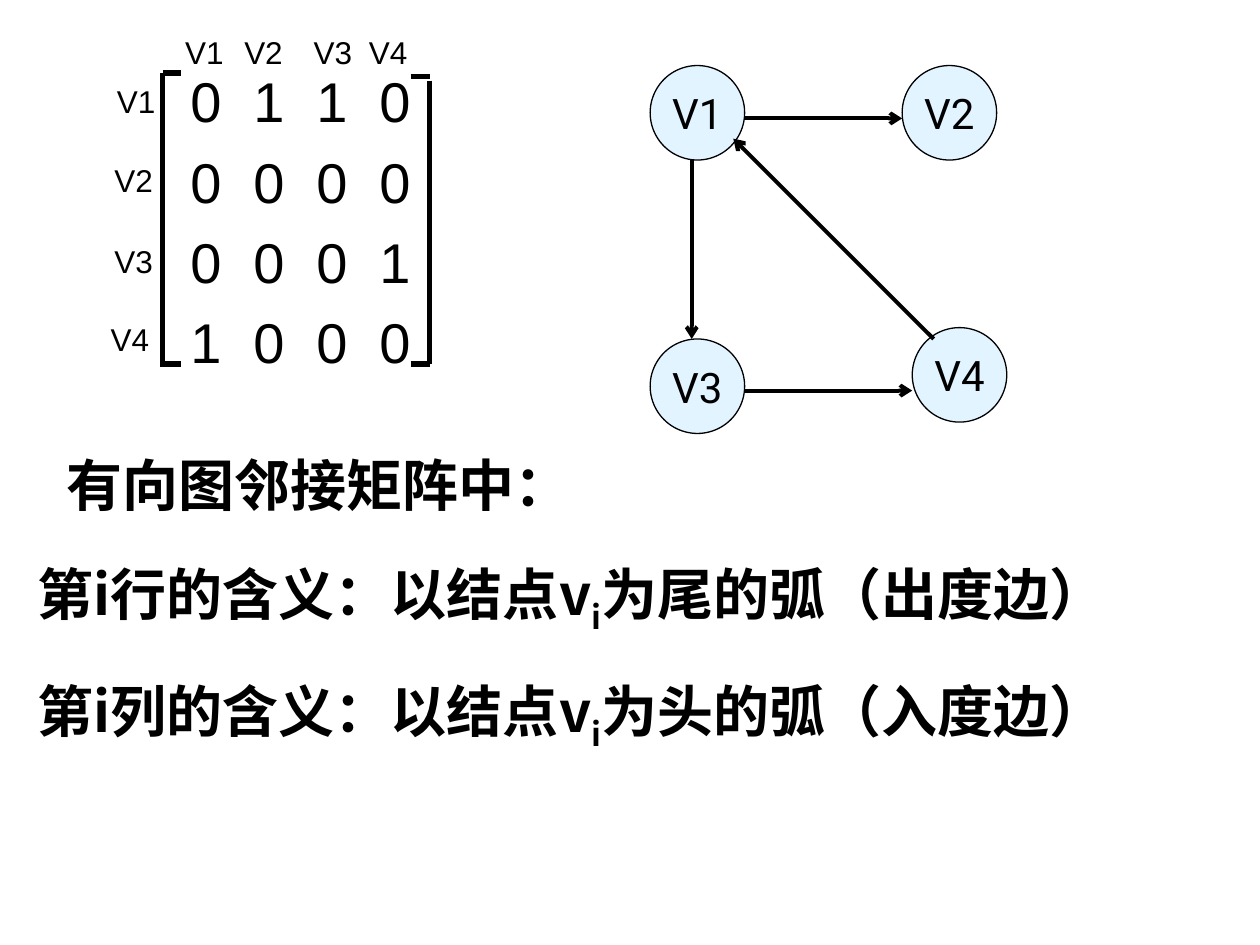
"""Builds a slide on the adjacency matrix of a directed graph."""
from dataclasses import dataclass

from lxml.etree import SubElement
from pptx import Presentation
from pptx.dml.color import RGBColor
from pptx.enum.shapes import MSO_CONNECTOR, MSO_SHAPE
from pptx.enum.text import MSO_ANCHOR, MSO_AUTO_SIZE, PP_ALIGN
from pptx.oxml.ns import qn
from pptx.util import Inches, Pt


@dataclass(frozen=True)
class Theme:
    ink: RGBColor = RGBColor(0x00, 0x00, 0x00)
    node_fill: RGBColor = RGBColor(0xE1, 0xF4, 0xFF)
    matrix_font: str = "Arial"
    node_font: str = "Roboto"
    caption_font: str = "Noto Sans CJK SC"
    large: Pt = Pt(32)
    medium: Pt = Pt(24)
    small: Pt = Pt(18)
    bracket_line: Pt = Pt(3)
    arc_line: Pt = Pt(2.25)
    node_line: Pt = Pt(0.75)


THEME = Theme()


def style(paragraph, face, size, bold=False):
    font = paragraph.font
    font.name, font.size, font.bold = face, size, bold
    font.color.rgb = THEME.ink
    SubElement(font._element, qn("a:ea"), typeface=face)


def draw_line(shapes, start, end, width):
    line = shapes.add_connector(
        MSO_CONNECTOR.STRAIGHT, *(Inches(v) for v in (*start, *end)))
    line.line.color.rgb = THEME.ink
    line.line.width = width
    SubElement(line._element.spPr, qn("a:effectLst"))
    return line


prs = Presentation()
prs.slide_width, prs.slide_height = Inches(10), Inches(7.5)
slide = prs.slides.add_slide(prs.slide_layouts[2])
title = slide.shapes.title._element
title.getparent().remove(title)

matrix = slide.placeholders[1]
matrix.left, matrix.top = Inches(1.29), Inches(0.48)
matrix.width, matrix.height = Inches(2.3), Inches(2.6)
entries = matrix.text_frame
entries.auto_size = MSO_AUTO_SIZE.NONE
entries.vertical_anchor = MSO_ANCHOR.TOP
entries.margin_left = Inches(0.22)
entries.text = "\n".join("\t".join(row) for row in ("0110", "0000", "0001", "1000"))
for index, row in enumerate(entries.paragraphs):
    row.space_before = Pt(7.5 if index else 0)
    tabs = SubElement(row._p.get_or_add_pPr(), qn("a:tabLst"))
    for column in range(1, 4):
        SubElement(tabs, qn("a:tab"), pos=str(Inches(0.495 * column)), algn="l")
    style(row, THEME.matrix_font, THEME.large)

LEFT, RIGHT, BOTTOM, SERIF = 1.29, 3.41, 2.89, 0.15
for start, end in (
    ((LEFT, 0.58), (LEFT, 2.91)),
    ((RIGHT, 0.64), (RIGHT, BOTTOM)),
    ((LEFT, 0.58), (LEFT + SERIF, 0.58)),
    ((LEFT, BOTTOM), (LEFT + SERIF, BOTTOM)),
    ((RIGHT - SERIF, 0.61), (RIGHT, 0.61)),
    ((RIGHT - SERIF, BOTTOM), (RIGHT, BOTTOM)),
):
    draw_line(slide.shapes, start, end, THEME.bracket_line)

graph = slide.shapes.add_group_shape().shapes
NODE = 0.75
for name, left, top in (
    ("V1", 5.16, 0.52), ("V4", 7.24, 2.6), ("V2", 7.16, 0.52), ("V3", 5.16, 2.69),
):
    node = graph.add_shape(
        MSO_SHAPE.OVAL, Inches(left), Inches(top), Inches(NODE), Inches(NODE))
    node.shadow.inherit = False
    node.fill.solid()
    node.fill.fore_color.rgb = THEME.node_fill
    node.line.color.rgb = THEME.ink
    node.line.width = THEME.node_line
    node.text_frame.word_wrap = False
    node.text_frame.vertical_anchor = MSO_ANCHOR.MIDDLE
    node.text_frame.text = name
    node_name = node.text_frame.paragraphs[0]
    node_name.alignment = PP_ALIGN.CENTER
    style(node_name, THEME.node_font, THEME.medium)

for tail, head in (
    ((5.91, 0.94), (7.16, 0.94)),
    ((5.49, 1.27), (5.49, 2.69)),
    ((5.91, 3.1), (7.24, 3.1)),
    ((7.41, 2.69), (5.82, 1.1)),
):
    arc = draw_line(graph, tail, head, THEME.arc_line)
    SubElement(arc.line._get_or_add_ln(), qn("a:tailEnd"), type="arrow")

row_labels = ((0.83, 0.6), (0.81, 1.23), (0.81, 1.87), (0.78, 2.49))
column_labels = ((1.37, 0.21), (1.84, 0.21), (2.39, 0.21), (2.83, 0.21))
for labels in (row_labels, column_labels):
    for number, (left, top) in enumerate(labels, 1):
        label = slide.shapes.add_textbox(
            Inches(left), Inches(top), Inches(0.51), Inches(0.4)).text_frame
        label.word_wrap = False
        label.text = f"V{number}"
        style(label.paragraphs[0], THEME.matrix_font, THEME.small)

for left, top, width, parts in (
    (0.43, 3.53, 4.22, ("有向图邻接矩阵中：",)),
    (0.2, 4.39, 9.53, ("第i行的含义：以结点v", "i", "为尾的弧（出度边）")),
    (0.2, 5.32, 9.53, ("第i列的含义：以结点v", "i", "为头的弧（入度边）")),
):
    caption = slide.shapes.add_textbox(
        Inches(left), Inches(top), Inches(width), Inches(0.63)).text_frame
    caption.word_wrap = True
    sentence = caption.paragraphs[0]
    for part in parts:
        run = sentence.add_run()
        run.text = part
        if part == "i":
            run.font._element.set("baseline", "-25000")
    style(sentence, THEME.caption_font, THEME.large, bold=True)

prs.save("out.pptx")
